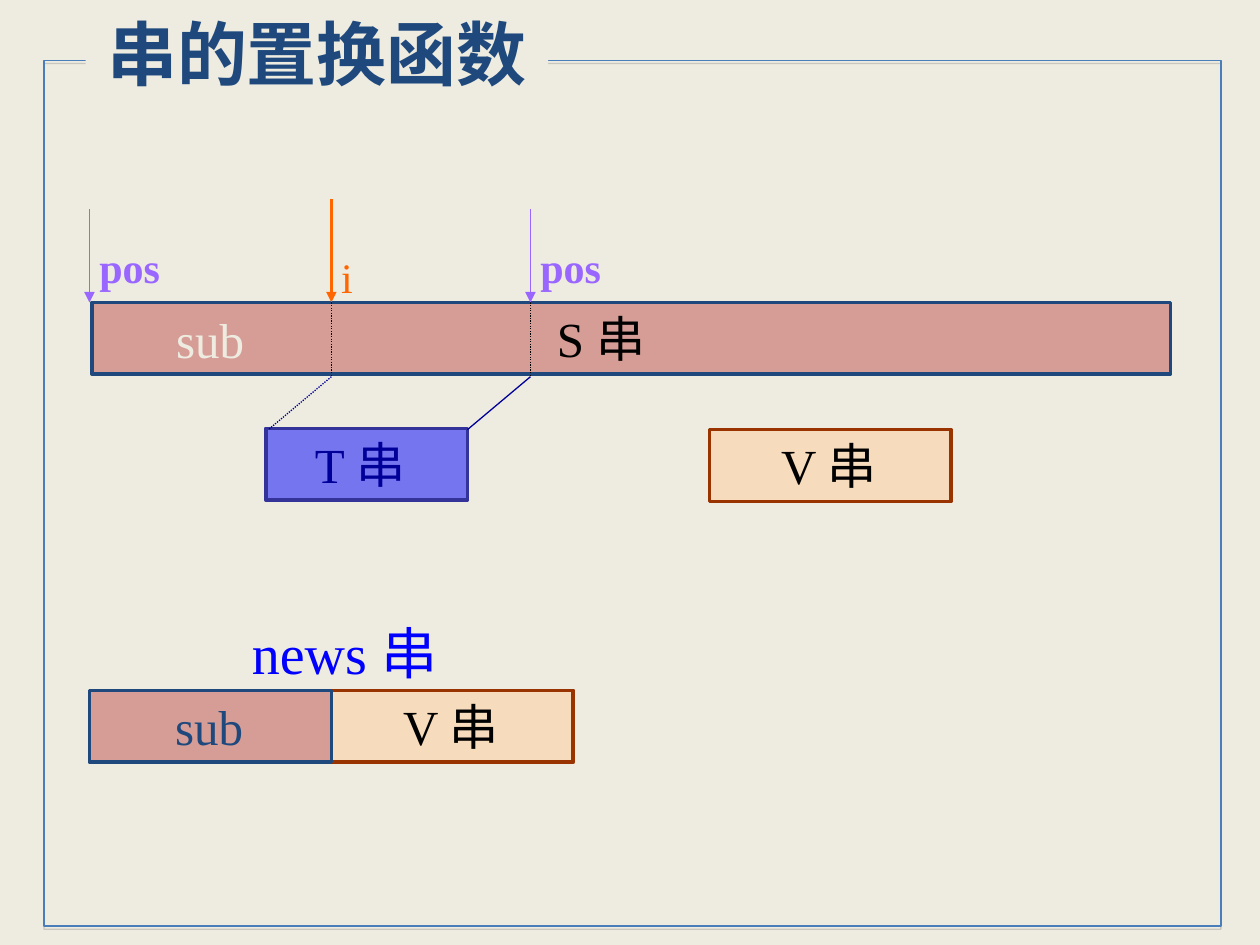
"""Build the slide on the string replacement function, on a grid of 100 columns by 75 rows."""
from pptx import Presentation, util as u
from pptx.dml.color import RGBColor
from pptx.enum import dml, shapes, text
from pptx.oxml import parse_xml
from pptx.oxml.ns import nsdecls, qn

THEME = {
    "font": "Times New Roman",
    "paper": "EEECE1", "frame": "4A7EBB", "navy": "1F497D", "red": "C0504D",
    "blue": "0000FF", "indigo": "333399", "ink_blue": "000099", "peach": "FFCC99",
    "brown": "993300", "violet": "9966FF", "orange": "FF6600", "black": "000000",
    "title": 40, "large": 32, "body": 28, "label": 24,
}

deck = Presentation()
deck.slide_width, deck.slide_height = u.Inches(10), u.Inches(7.5)
CELL = deck.slide_width / 100
page = deck.slides.add_slide(deck.slide_layouts[5])


def grid(*cells):
    return [round(cell * CELL) for cell in cells]


def write(shape, words, size, color, bold=False, left=1, **frame_format):
    frame = shape.text_frame
    settings = {"margin_left": grid(left)[0], "margin_right": grid(1)[0],
                "margin_top": grid(0.5)[0], "margin_bottom": grid(0.5)[0],
                "vertical_anchor": text.MSO_ANCHOR.TOP, "word_wrap": True,
                "auto_size": text.MSO_AUTO_SIZE.NONE} | frame_format
    for name, value in settings.items():
        setattr(frame, name, value)
    para = frame.paragraphs[0]
    para.alignment = text.PP_ALIGN.LEFT
    span = para.add_run()
    span.text = words
    for name, value in {"name": THEME["font"], "size": u.Pt(THEME[size]), "bold": bold}.items():
        setattr(span.font, name, value)
    span.font.color.rgb = RGBColor.from_string(THEME[color])


page.background.fill.solid()
page.background.fill.fore_color.rgb = RGBColor.from_string(THEME["paper"])

title = page.shapes.title
title.left, title.top, title.width, title.height = grid(6.8, 0.3, 36.7, 14.5)
title.fill.solid()
title.fill.fore_color.rgb = RGBColor.from_string(THEME["paper"])
write(title, "串的置换函数", "title", "navy", bold=True)
title.text_frame.paragraphs[0].alignment = text.PP_ALIGN.CENTER

border = page.shapes.add_shape(shapes.MSO_SHAPE.RECTANGLE, *grid(3.5, 4.8, 93.4, 68.7))
border.fill.background()
border.line.color.rgb = RGBColor.from_string(THEME["frame"])
border.line.width = u.Pt(0.75)
border._element.spPr.append(parse_xml(
    f'<a:effectLst {nsdecls("a")}><a:outerShdw dist="{u.Pt(1.8)}" dir="5400000" rotWithShape="0">'
    '<a:srgbClr val="808080"><a:alpha val="35000"/></a:srgbClr></a:outerShdw></a:effectLst>'))
title._element.addprevious(border._element)

START, CUT, END = 7.1, 26.3, 42.1
BAR_TOP, BAR_BOTTOM, PART_TOP, RESULT_TOP = 24, 29.9, 34.1, 54.8
BAR_HEIGHT, PART_WIDTH = 5.7, CUT - START
T_LEFT, T_WIDTH = 21.1, 16

bars = [
    ("S 串", 7.3, BAR_TOP, 85.6, "red", "navy", "black", 36.9),
    ("T 串", T_LEFT, 34, T_WIDTH, "blue", "indigo", "ink_blue", 3.9),
    ("V 串", 56.3, PART_TOP, PART_WIDTH, "peach", "brown", "black", 5.7),
    ("V 串", CUT, RESULT_TOP, PART_WIDTH, "peach", "brown", "black", 5.7),
    ("sub", START, RESULT_TOP, PART_WIDTH, "red", "navy", "navy", 6.8),
]
for words, left, top, width, fill, edge, ink, indent in bars:
    bar = page.shapes.add_shape(shapes.MSO_SHAPE.RECTANGLE, *grid(left, top, width, BAR_HEIGHT))
    bar.shadow.inherit = False
    bar.fill.solid()
    bar.fill.fore_color.rgb = RGBColor.from_string(THEME[fill])
    tint = bar._element.spPr.find(qn("a:solidFill"))[0]
    tint.append(parse_xml(f'<a:alpha {nsdecls("a")} val="50000"/>'))
    bar.line.color.rgb = RGBColor.from_string(THEME[edge])
    bar.line.width = u.Pt(2)
    write(bar, words, "body", ink, left=indent)

DOT = dml.MSO_LINE.ROUND_DOT
lines = [
    (CUT, BAR_TOP, CUT, BAR_BOTTOM, "black", 0.75, DOT, False),
    (END, BAR_TOP, END, BAR_BOTTOM, "black", 0.75, DOT, False),
    (CUT, BAR_BOTTOM, T_LEFT + 0.2, PART_TOP, "ink_blue", 0.75, DOT, False),
    (END, BAR_BOTTOM, T_LEFT + T_WIDTH, PART_TOP, "ink_blue", 0.75, None, False),
    (START, 16.6, START, BAR_TOP, "violet", 0.75, None, True),
    (END, 16.6, END, BAR_TOP, "violet", 0.75, None, True),
    (CUT, 15.8, CUT, BAR_TOP, "orange", 2, None, True),
]
for *ends, color, width, dash, arrow in lines:
    line = page.shapes.add_connector(shapes.MSO_CONNECTOR.STRAIGHT, *grid(*ends))
    line.line.color.rgb = RGBColor.from_string(THEME[color])
    line.line.width = u.Pt(width)
    line.line.dash_style = dash
    if arrow:
        line.line._get_or_add_ln().append(parse_xml(f'<a:tailEnd {nsdecls("a")} type="triangle"/>'))
    line._element.spPr.append(parse_xml(f'<a:effectLst {nsdecls("a")}/>'))

labels = [
    ("pos", START - 0.2, 18.7, 6.8, 5, "label", "violet", True),
    ("pos", END - 0.2, 18.7, 6.8, 5, "label", "violet", True),
    ("i", CUT - 0.2, 19.5, 2.9, 5, "label", "orange", False),
    ("news 串", 19, 48.6, 17.8, 6.4, "large", "blue", False),
    ("sub", 13, 24.1, 7.4, BAR_HEIGHT, "body", "paper", False),
]
for words, *place, size, color, bold in labels:
    box = page.shapes.add_textbox(*grid(*place))
    write(box, words, size, color, bold, word_wrap=False,
          auto_size=text.MSO_AUTO_SIZE.SHAPE_TO_FIT_TEXT)

deck.save("out.pptx")
